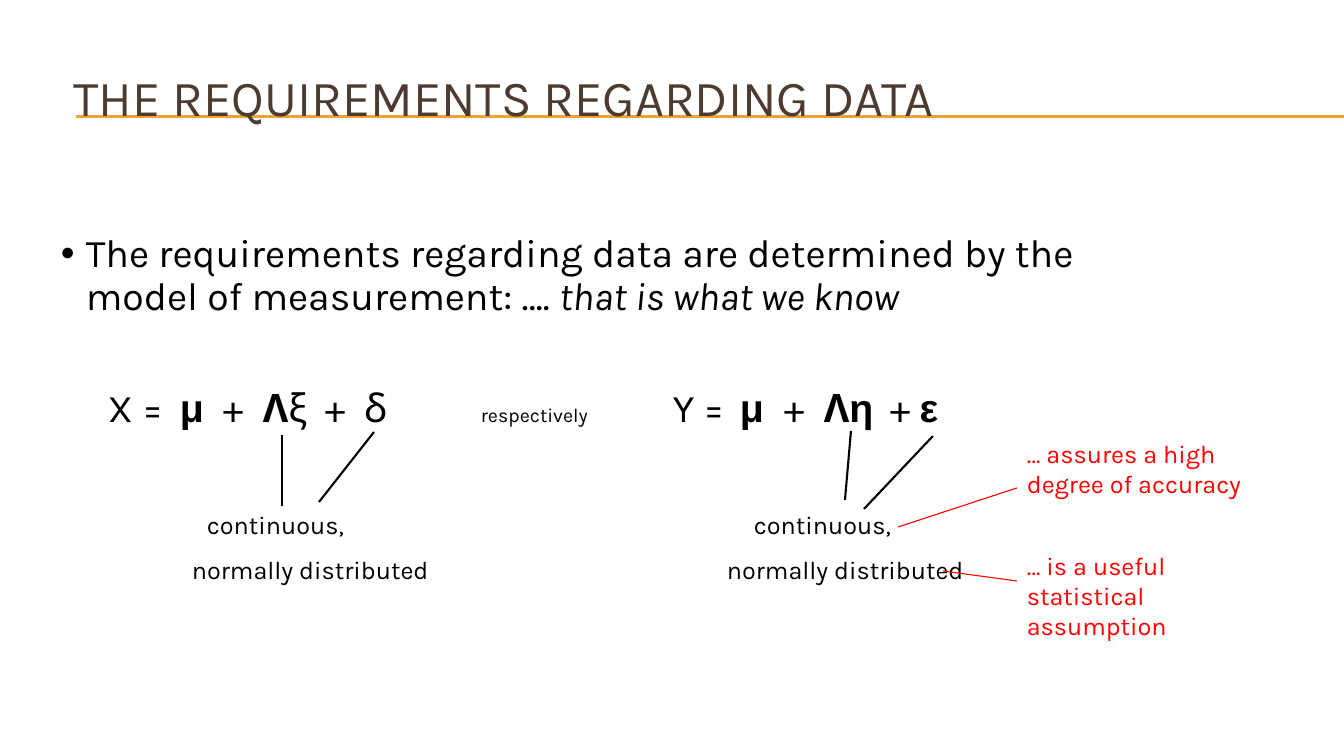
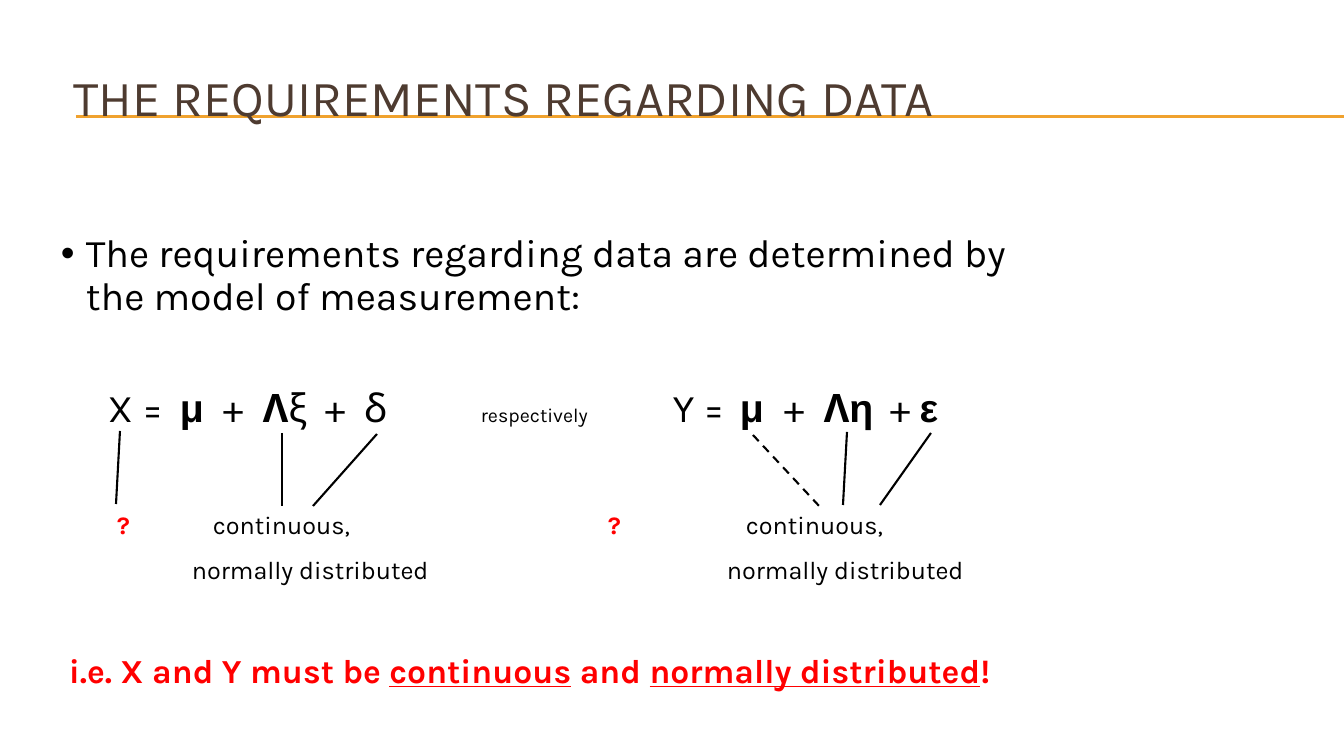
import pptx
import pptx.util
import pptx.dml.color
import pptx.enum.dml
import pptx.enum.shapes
import pptx.enum.text
import pptx.oxml
import pptx.oxml.ns

PX = 914400 / 100.8
BLACK, RED, BROWN, GOLD = "000000", "FF0000", "4E3B30", "F0A22E"
BODY_FONT, SYMBOL_FONT = "Karla", "Arial"
BODY_SIZE, LABEL_SIZE = 28, 18
SYMBOL = {"font": SYMBOL_FONT, "bold": True}
LABEL = {"size": LABEL_SIZE}
QUESTION = {"size": LABEL_SIZE, "color": RED, "bold": True}
CLOSING = {"size": 24, "color": RED, "bold": True}
UNDERLINED = {**CLOSING, "underline": True}

EQUATION_TABS = [47, 119, 162, 202, 264, 303, 420, 612, 679, 723, 763, 829]
EQUATION = [
    ("\tX =\t", {}), ("μ", SYMBOL), ("\t+\t", {}), ("Λ", {"bold": True}),
    ("ξ\t+\tδ\t", {}), ("respectively", {"size": 14}), ("\tY =\t", {}),
    ("μ", SYMBOL), ("\t+\t", {}), ("Λ", {"bold": True}), ("η", SYMBOL),
    ("\t+ ", {}), ("ε", SYMBOL),
]
DISTRIBUTION_TABS = [131, 666]
DISTRIBUTION = [("\tnormally distributed\tnormally distributed", LABEL)]


def px(length):
    return pptx.util.Emu(round(length * PX))


def rgb(color):
    return pptx.dml.color.RGBColor.from_string(color)


def add_span(para, text, font=BODY_FONT, size=BODY_SIZE, color=BLACK,
             bold=False, italic=False, underline=False):
    span = para.add_run()
    span.text = text
    span.font.name = font
    span.font.size = pptx.util.Pt(size)
    span.font.color.rgb = rgb(color)
    span.font.bold = bold
    span.font.italic = italic
    span.font.underline = underline


def add_box(page, left, top, width, height):
    box = page.shapes.add_textbox(px(left), px(top), px(width), px(height))
    box.text_frame.word_wrap = True
    return box


def add_line(page, start, end, color=BLACK, width=1.5, dashed=False):
    line = page.shapes.add_connector(
        pptx.enum.shapes.MSO_CONNECTOR.STRAIGHT, *map(px, start + end))
    line.line.color.rgb = rgb(color)
    line.line.width = pptx.util.Pt(width)
    if dashed:
        line.line.dash_style = pptx.enum.dml.MSO_LINE.DASH
    pptx.oxml.ns.qn("a:effectLst")
    line._element.spPr.append(
        pptx.oxml.parse_xml(f"<a:effectLst {pptx.oxml.ns.nsdecls('a')}/>"))
    return line


def add_property(para, xml):
    name, rest = xml.split(" ", 1)
    namespace = pptx.oxml.ns.nsdecls("a")
    para._p.get_or_add_pPr().append(
        pptx.oxml.parse_xml(f"<a:{name} {namespace} {rest}"))


def add_bullet(para):
    properties = para._p.get_or_add_pPr()
    properties.set("marL", str(px(25)))
    properties.set("indent", str(px(-25)))
    add_property(para, 'buFont typeface="Arial"/>')
    add_property(para, 'buChar char="•"/>')


def add_tabs(para, stops):
    tabs = "".join(f'<a:tab pos="{px(stop)}" algn="l"/>' for stop in stops)
    add_property(para, f">{tabs}</a:tabLst>".join(["tabLst ", ""]))


def add_body(page, width, rows):
    frame = add_box(page, 51, 229, width, 499).text_frame
    for index, (space, stops, spans) in enumerate(rows):
        para = frame.add_paragraph() if index else frame.paragraphs[0]
        para.line_spacing = 0.9
        para.space_before = pptx.util.Pt(space)
        if stops:
            add_tabs(para, stops)
        else:
            add_bullet(para)
        for text, style in spans:
            add_span(para, text, **style)


def add_note(page, top, text):
    box = add_box(page, 1017, top, 282, 72)
    add_span(box.text_frame.paragraphs[0], text, size=LABEL_SIZE, color=RED)
    return box


def add_page(deck):
    page = deck.slides.add_slide(deck.slide_layouts[6])
    for height in (116, 117):
        add_line(page, (76, height), (1344, height), GOLD, 0.75)
    frame = add_box(page, 50, 33, 907, 126).text_frame
    frame.vertical_anchor = pptx.enum.text.MSO_ANCHOR.MIDDLE
    para = frame.paragraphs[0]
    para.alignment = pptx.enum.text.PP_ALIGN.CENTER
    add_span(para, "THE REQUIREMENTS REGARDING DATA", size=36, color=BROWN)
    return page


def add_accuracy_page(deck):
    page = add_page(deck)
    add_body(page, 1047, [
        (10, [], [
            ("The requirements regarding data are determined by the model of "
             "measurement: …. ", {}),
            ("that is what we know", {"italic": True})]),
        (50, EQUATION_TABS, EQUATION),
        (58.5, [146, 693], [("\tcontinuous,\tcontinuous,", LABEL)]),
        (12.5, DISTRIBUTION_TABS, DISTRIBUTION),
    ])
    for start, end in [((282, 435), (282, 506)), ((851, 431), (845, 500)),
                       ((374, 432), (319, 502)), ((933, 436), (864, 509))]:
        add_line(page, start, end)
    add_note(page, 433, "… assures a high degree of accuracy")
    assumption = add_note(page, 545, "… is a useful statistical assumption")
    add_line(page, (1017, 488), (898, 527), RED, 0.79)
    link = add_line(page, (943, 571), (1017, 581), RED, 0.79)
    link.end_connect(assumption, 1)


def add_conclusion_page(deck):
    page = add_page(deck)
    add_body(page, 969, [
        (10, [], [("The requirements regarding data are determined by the "
                   "model of measurement:", {})]),
        (50, EQUATION_TABS, EQUATION),
        (58.5, [56, 152, 547, 685], [
            ("\t?", QUESTION), ("\tcontinuous,", LABEL),
            ("\t?", QUESTION), ("\tcontinuous,", LABEL)]),
        (12.5, DISTRIBUTION_TABS, DISTRIBUTION),
        (50, [8], [
            ("\ti.e. X and Y must be ", CLOSING), ("continuous", UNDERLINED),
            (" and ", CLOSING), ("normally distributed", UNDERLINED),
            ("!", CLOSING)]),
    ])
    for start, end in [((282, 433), (282, 506)), ((847, 432), (843, 505)),
                       ((377, 434), (313, 506)), ((931, 433), (880, 505)),
                       ((120, 431), (116, 504))]:
        add_line(page, start, end)
    add_line(page, (753, 435), (821, 508), dashed=True)


def main():
    deck = pptx.Presentation()
    deck.slide_width, deck.slide_height = px(1344), px(756)
    add_accuracy_page(deck)
    add_conclusion_page(deck)
    deck.save("out.pptx")


if __name__ == "__main__":
    main()
